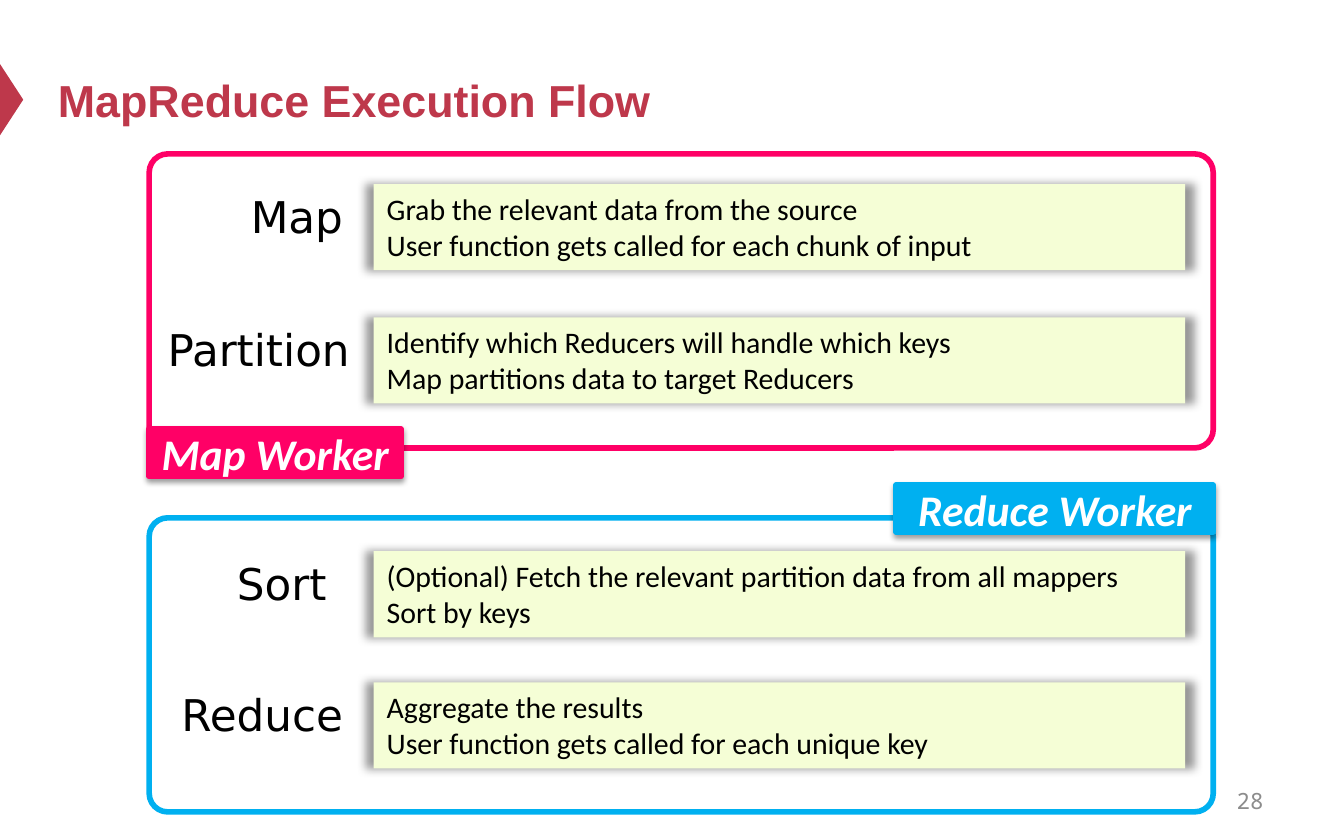
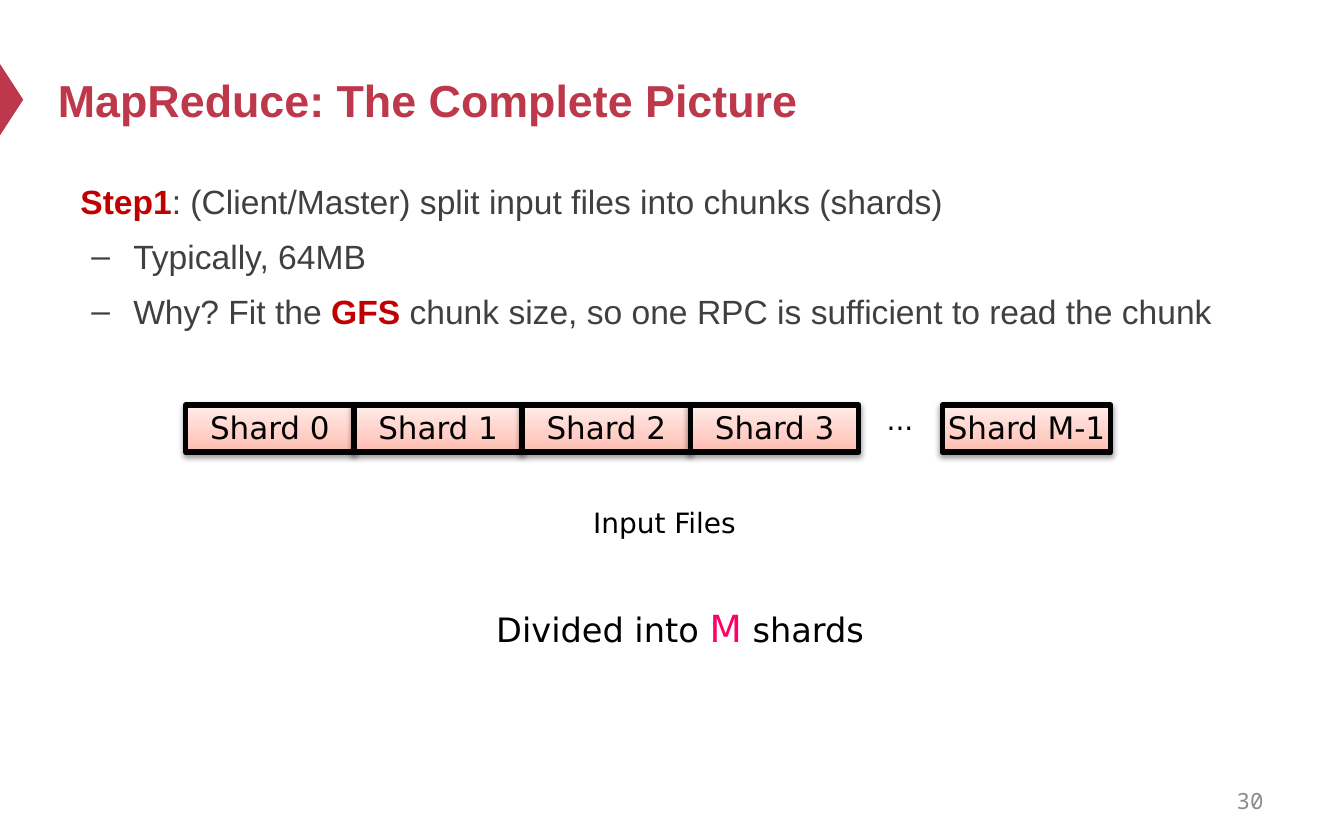
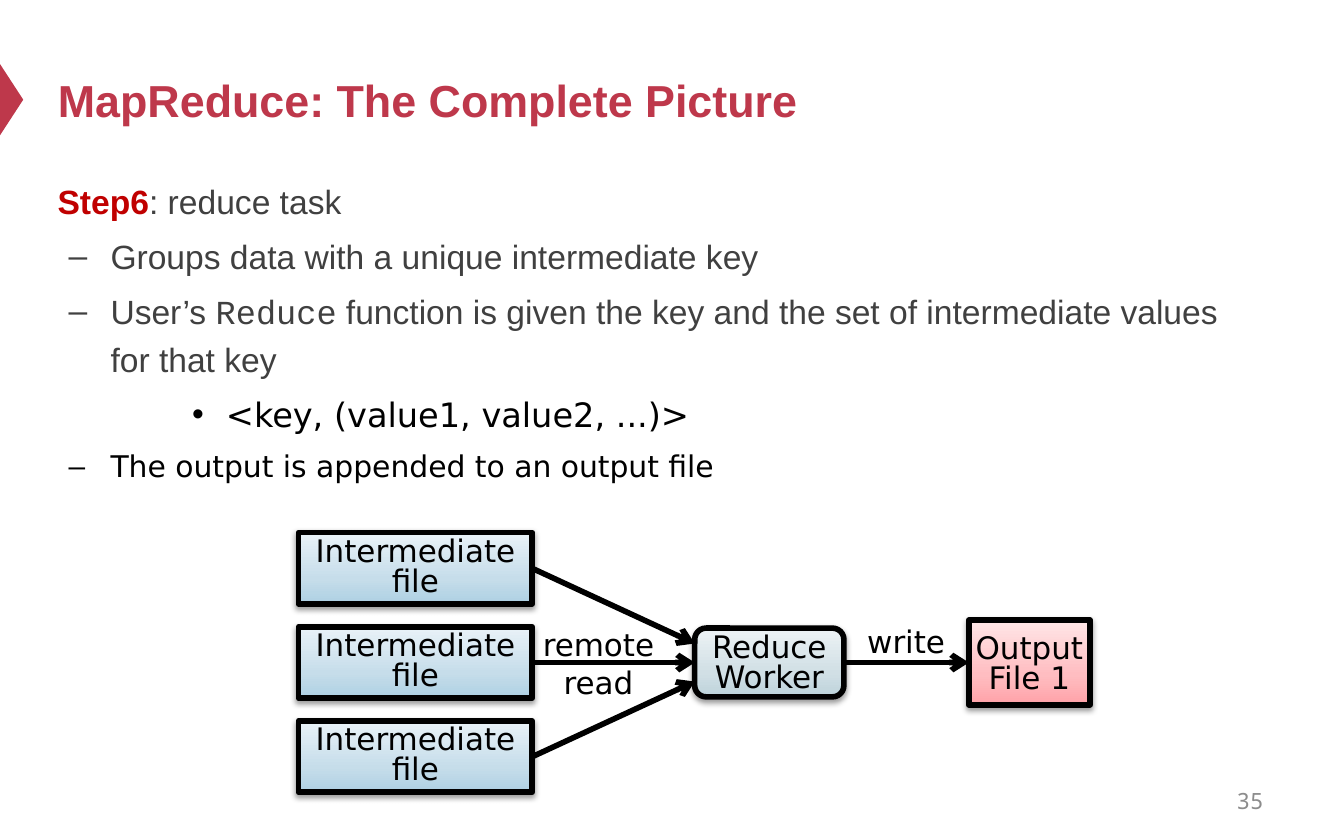
import lxml.etree
import pptx
import pptx.dml.color
import pptx.enum.shapes
import pptx.enum.text
import pptx.oxml.ns
import pptx.util

Cm = pptx.util.Cm
Pt = pptx.util.Pt
qn = pptx.oxml.ns.qn
SHAPE = pptx.enum.shapes.MSO_SHAPE
ALIGN = pptx.enum.text.PP_ALIGN
MIDDLE = pptx.enum.text.MSO_ANCHOR.MIDDLE

COLORS = {
    "accent": "BE384B", "strong": "C00000", "body": "404040", "number": "8C8C8C",
    "black": "000000", "white": "FFFFFF", "note": "F5FED6",
    "map": "FF0066", "reduce": "00B0F0",
}
# Gradient stops from bottom to top: position in percent, colour
GRADIENTS = {
    "shard": ((0, "FFBBAE"), (35, "FFCEC5"), (100, "FFECE9")),
    "file": ((0, "ADD0E3"), (35, "C6DDEA"), (100, "E9F2F8")),
    "worker": ((0, "BDD3DB"), (35, "D1DFE5"), (100, "EDF3F5")),
    "output": ((0, "FFA2A8"), (35, "FFBDC1"), (100, "FFE6E7")),
}
# Shadow: opacity in percent, blur and distance in points, degrees, width in percent
DROP_SHADOW = (38, 3.1, 1.6, 90, 100)
SIDE_SHADOW = (40, 5, 0, 0, 102)

TITLE = {"name": "Arial", "size": Pt(24), "bold": True, "color": "accent"}
NUMBER = {"name": "Noto Sans Mono", "size": Pt(12), "color": "number"}
BODY = {"name": "Arial", "size": Pt(18), "color": "body"}
STRONG = {**BODY, "bold": True, "color": "strong"}
NOTE = {"name": "Calibri", "size": Pt(16), "color": "black"}
TAB = {"name": "Calibri", "size": Pt(23.4), "bold": True, "italic": True, "color": "white"}
DIAGRAM = {"name": "DejaVu Sans", "size": Pt(16.6), "color": "black"}
STAGE = {**DIAGRAM, "size": Pt(23.4)}
CAPTION = {**DIAGRAM, "size": Pt(15)}
SUMMARY = {**DIAGRAM, "size": Pt(18)}

DASH = {"level": 1, "bullet": "–", "margin": 1.0, "hanging": 0.79}
DOT = {"level": 2, "bullet": "•", "margin": 3.18, "hanging": 0.64}


def rgb(name):
    return pptx.dml.color.RGBColor.from_string(COLORS[name])


def set_attributes(target, values):
    for name, value in values.items():
        setattr(target, name, value)


def add_run(paragraph, text, style):
    """Add text in one style; a newline becomes a line break."""
    for index, line in enumerate(text.split("\n")):
        if index:
            paragraph.add_line_break()
        run = paragraph.add_run()
        run.text = line
        set_attributes(run.font, {k: v for k, v in style.items() if k != "color"})
        run.font.color.rgb = rgb(style["color"])


def write(shape, paragraphs, style, paragraph_format=None, **frame_format):
    """Write paragraphs, each a string or a list of (text, style) runs."""
    frame = shape.text_frame
    set_attributes(frame, {"word_wrap": True, **frame_format})
    for index, content in enumerate(paragraphs):
        paragraph = frame.add_paragraph() if index else frame.paragraphs[0]
        set_attributes(paragraph, {"alignment": ALIGN.LEFT, **(paragraph_format or {})})
        runs = [(content, style)] if isinstance(content, str) else content
        for text, run_style in runs:
            add_run(paragraph, text, run_style)
    return shape


def add_text(slide, box, paragraphs, style, paragraph_format=None, **frame_format):
    shape = slide.shapes.add_textbox(*map(Cm, box))
    return write(shape, paragraphs, style, paragraph_format, **frame_format)


def add_shadow(shape, shadow):
    opacity, blur, distance, direction, scale = shadow
    effects = shape.element.spPr.find(qn("a:effectLst"))
    outer = lxml.etree.SubElement(
        effects, qn("a:outerShdw"), blurRad=str(Pt(blur)), dist=str(Pt(distance)),
        dir=str(direction * 60000), sx=str(scale * 1000), algn="ctr", rotWithShape="0")
    color = lxml.etree.SubElement(outer, qn("a:srgbClr"), val=COLORS["black"])
    lxml.etree.SubElement(color, qn("a:alpha"), val=str(opacity * 1000))


def add_gradient(shape, stops):
    shape.fill.gradient()
    shape.fill.gradient_angle = 90
    stop_list = shape.element.spPr.find(qn("a:gradFill")).find(qn("a:gsLst"))
    for stop in list(stop_list):
        stop_list.remove(stop)
    for position, color in stops:
        stop = lxml.etree.SubElement(stop_list, qn("a:gs"), pos=str(position * 1000))
        lxml.etree.SubElement(stop, qn("a:srgbClr"), val=color)


def paint(shape, fill=None, line=None, shadow=None):
    """Set fill, line and shadow; fill names a colour or a gradient."""
    shape.shadow.inherit = False
    if fill in GRADIENTS:
        add_gradient(shape, GRADIENTS[fill])
    elif fill:
        shape.fill.solid()
        shape.fill.fore_color.rgb = rgb(fill)
    else:
        shape.fill.background()
    if line:
        shape.line.color.rgb = rgb(line)
        shape.line.width = Pt(3)
    else:
        shape.line.fill.background()
    if shadow:
        add_shadow(shape, shadow)
    return shape


def add_box(slide, box, fill=None, line=None, shadow=None, kind=SHAPE.RECTANGLE):
    return paint(slide.shapes.add_shape(kind, *map(Cm, box)), fill, line, shadow)


def add_marker(slide, top, width, height):
    """Add the triangle that points from the slide's left edge to the title."""
    builder = slide.shapes.build_freeform(0, Cm(top))
    builder.add_line_segments([(Cm(width), Cm(top + height / 2)), (0, Cm(top + height))])
    paint(builder.convert_to_shape(), "accent")


def add_arrow(slide, source, target, end=None):
    """Draw an arrow from the right side of source to target's left side or to end."""
    connector = slide.shapes.add_connector(
        pptx.enum.shapes.MSO_CONNECTOR.STRAIGHT, 0, 0, *map(Cm, end or (0, 0)))
    connector.begin_connect(source, 3)
    if end is None:
        connector.end_connect(target, 1)
    connector.line.color.rgb = rgb("black")
    connector.line.width = Pt(3)
    properties = connector.element.spPr
    lxml.etree.SubElement(properties.find(qn("a:ln")), qn("a:tailEnd"), type="arrow")
    lxml.etree.SubElement(properties, qn("a:effectLst"))


def add_slide(presentation, title, number):
    """Add a slide with the shared marker, title and page number."""
    slide = presentation.slides.add_slide(presentation.slide_layouts[5])
    add_marker(slide, 1.21, 0.44, 1.35)
    placeholder = slide.shapes.title
    set_attributes(placeholder, {
        "left": Cm(0.84), "top": Cm(0.64), "width": Cm(22.86), "height": Cm(2.49)})
    write(placeholder, [title], TITLE, vertical_anchor=MIDDLE)
    add_text(slide, (18.21, 14.71, 5.92, 0.84), [str(number)], NUMBER,
             {"alignment": ALIGN.RIGHT}, vertical_anchor=MIDDLE)
    return slide


def add_body(slide, box, items):
    """Write the body; each item is a pair of runs and an optional list style."""
    shape = add_text(slide, box, [runs for runs, _ in items], BODY, {"line_spacing": 1.2})
    for index, (_, bullet) in enumerate(items):
        paragraph = shape.text_frame.paragraphs[index]
        if index:
            paragraph.space_before = Pt(3.5)
        if bullet:
            paragraph.level = bullet["level"]
            properties = paragraph._p.get_or_add_pPr()
            properties.set("marL", str(Cm(bullet["margin"])))
            properties.set("indent", str(-Cm(bullet["hanging"])))
            lxml.etree.SubElement(properties, qn("a:buFont"), typeface="Arial")
            lxml.etree.SubElement(properties, qn("a:buChar"), char=bullet["bullet"])


def add_stage(slide, box, name, indent, notes):
    """Add one stage: its name at the left, its notes at the right."""
    left, top, width, _ = box
    add_text(slide, box, [name], STAGE, margin_left=Cm(0.2 + indent),
             margin_right=Cm(0.2), margin_top=Cm(0.1), margin_bottom=Cm(0.1))
    note = add_box(slide, (left + 4.24, top, width - 4.24, 1.63), "note", shadow=SIDE_SHADOW)
    write(note, notes, NOTE, vertical_anchor=pptx.enum.text.MSO_ANCHOR.TOP)


def add_worker_frame(slide, box, color, first_row, pitch, stages):
    left, top, width, _ = box
    frame = add_box(slide, box, line=color, kind=SHAPE.ROUNDED_RECTANGLE)
    frame.adjustments[0] = 0.063
    for row, (name, indent, notes) in enumerate(stages):
        stage_box = (left, top + first_row + row * pitch, width - 0.53, 1.93)
        add_stage(slide, stage_box, name, indent, notes)


def add_worker_tab(slide, box, color, name):
    tab = add_box(slide, box, color, color, DROP_SHADOW)
    write(tab, [name], TAB, {"alignment": ALIGN.CENTER},
          vertical_anchor=MIDDLE, word_wrap=False)


def build_execution_flow(presentation):
    slide = add_slide(presentation, "MapReduce Execution Flow", 28)
    left, width, height = 2.82, 20.11, 5.56
    map_top, reduce_top = 2.91, 9.79
    add_worker_frame(slide, (left, map_top, width, height), "map", 0.57, 2.52, [
        ("Map", 1.72, ["Grab the relevant data from the source",
                       "User function gets called for each chunk of input"]),
        ("Partition", 0.15, ["Identify which Reducers will handle which keys",
                             "Map partitions data to target Reducers"]),
    ])
    add_worker_frame(slide, (left, reduce_top, width, height), "reduce", 0.63, 2.48, [
        ("Sort", 1.46, ["(Optional) Fetch the relevant partition data from all mappers",
                        "Sort by keys"]),
        ("Reduce", 0.41, ["Aggregate the results",
                          "User function gets called for each unique key"]),
    ])
    add_worker_tab(slide, (left, map_top + 5.2, 4.76, 0.9), "map", "Map Worker")
    add_worker_tab(slide, (left + width - 5.99, reduce_top - 0.62, 5.99, 0.89),
                   "reduce", "Reduce Worker")


def add_shards(slide, box):
    """Add the row of shards with its ellipsis and captions."""
    left, top = box[:2]
    centered = {"alignment": ALIGN.CENTER}
    shard_width, pitch = 3.18, 3.18
    shards = [(f"Shard {index}", index * pitch) for index in range(4)]
    shards.append(("Shard M-1", box[2] - shard_width))
    for name, offset in shards:
        shard = add_box(slide, (left + offset, top, shard_width, box[3]),
                        "shard", "black", DROP_SHADOW)
        write(shard, [name], DIAGRAM, centered, vertical_anchor=MIDDLE,
              word_wrap=False, margin_top=Cm(0.08))
    add_text(slide, (left + 12.55, top - 0.18, 1.9, 0.89), ["..."], CAPTION, centered)
    add_text(slide, (left + 6.32, top + 1.78, 5.46, 0.89), ["Input Files"], CAPTION, centered)
    summary = [("Divided into ", SUMMARY),
               ("M", {**SUMMARY, "size": Pt(20), "color": "map"}),
               (" shards", SUMMARY)]
    add_text(slide, (left + 4.8, top + 3.66, 9.09, 1.12), [summary], SUMMARY, centered)


def build_split_step(presentation):
    slide = add_slide(presentation, "MapReduce: The Complete Picture", 30)
    add_shards(slide, (3.51, 7.66, 17.48, 0.89))
    add_body(slide, (1.27, 3.15, 22.86, 7.39), [
        ([("Step1", STRONG),
          (": (Client/Master) split input files into chunks (shards)", BODY)], None),
        ("Typically, 64MB", DASH),
        ([("Why? Fit the ", BODY), ("GFS", STRONG),
          (" chunk size, so one RPC is sufficient to read the chunk", BODY)], DASH),
    ])


def add_reduce_diagram(slide, left, top):
    """Add the intermediate files, the worker, the output and their arrows."""
    file_width, file_height, pitch = 4.42, 1.35, 1.78
    center = pitch + file_height / 2
    tight = {"alignment": ALIGN.CENTER, "line_spacing": 0.8}
    centered = {"alignment": ALIGN.CENTER}

    files = []
    for row in range(3):
        file_box = add_box(slide, (left, top + row * pitch, file_width, file_height),
                           "file", "black", DROP_SHADOW)
        write(file_box, ["Intermediate file"], DIAGRAM, tight, vertical_anchor=MIDDLE)
        files.append(file_box)

    worker_left = left + 7.49
    worker = add_box(slide, (worker_left, top + center - 0.65, 2.82, 1.3),
                     "worker", "black", DROP_SHADOW, SHAPE.ROUNDED_RECTANGLE)
    write(worker, ["Reduce\nWorker"], DIAGRAM, tight, vertical_anchor=MIDDLE, word_wrap=False,
          margin_left=Cm(0.2), margin_right=Cm(0.2), margin_top=Cm(0.08), margin_bottom=0)
    output = add_box(slide, (left + 12.67, top + center - 0.8, 2.29, 1.6),
                     "output", "black", DROP_SHADOW)
    write(output, ["Output", "File 1"], DIAGRAM, tight, vertical_anchor=MIDDLE,
          word_wrap=False, margin_bottom=0)

    for file_box, offset in zip(files, (-0.36, 0, 0.36)):
        end = (worker_left, top + center + offset) if offset else None
        add_arrow(slide, file_box, worker, end)
    add_arrow(slide, worker, output)

    add_text(slide, (left + 4.35, top + 1.64, 2.64, 1.68), ["remote\nread"], DIAGRAM,
             centered, word_wrap=False)
    add_text(slide, (left + 10.48, top + 1.58, 2.01, 0.97), ["write"], DIAGRAM,
             centered, word_wrap=False)


def build_reduce_step(presentation):
    slide = add_slide(presentation, "MapReduce: The Complete Picture", 35)
    add_body(slide, (0.84, 3.15, 22.86, 10.46), [
        ([("Step6", STRONG), (": reduce task", BODY)], None),
        ("Groups data with a unique intermediate key", DASH),
        ([("User’s ", BODY), ("Reduce", {**BODY, "name": "Courier New"}),
          (" function is given the key and the set of intermediate values for that key", BODY)],
         DASH),
        ([("<key, (value1, value2, ...)>", SUMMARY)], DOT),
        ([("The output is appended to an output file", {**SUMMARY, "size": Pt(16)})], DASH),
    ])
    add_reduce_diagram(slide, 5.64, 10.07)


def main():
    presentation = pptx.Presentation()
    presentation.slide_width = Cm(25.4)
    presentation.slide_height = Cm(15.88)
    build_execution_flow(presentation)
    build_split_step(presentation)
    build_reduce_step(presentation)
    presentation.save("out.pptx")


if __name__ == "__main__":
    main()
